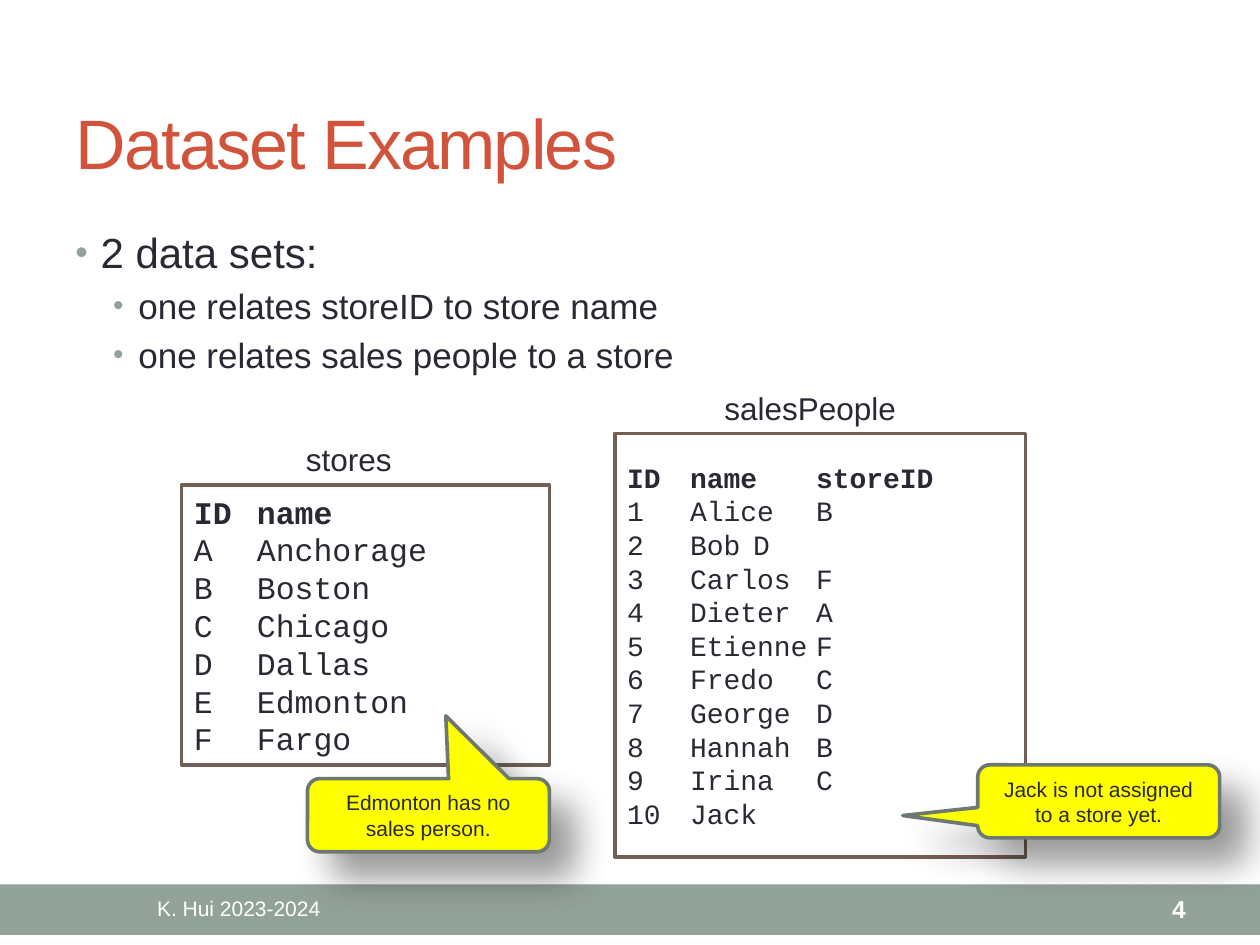
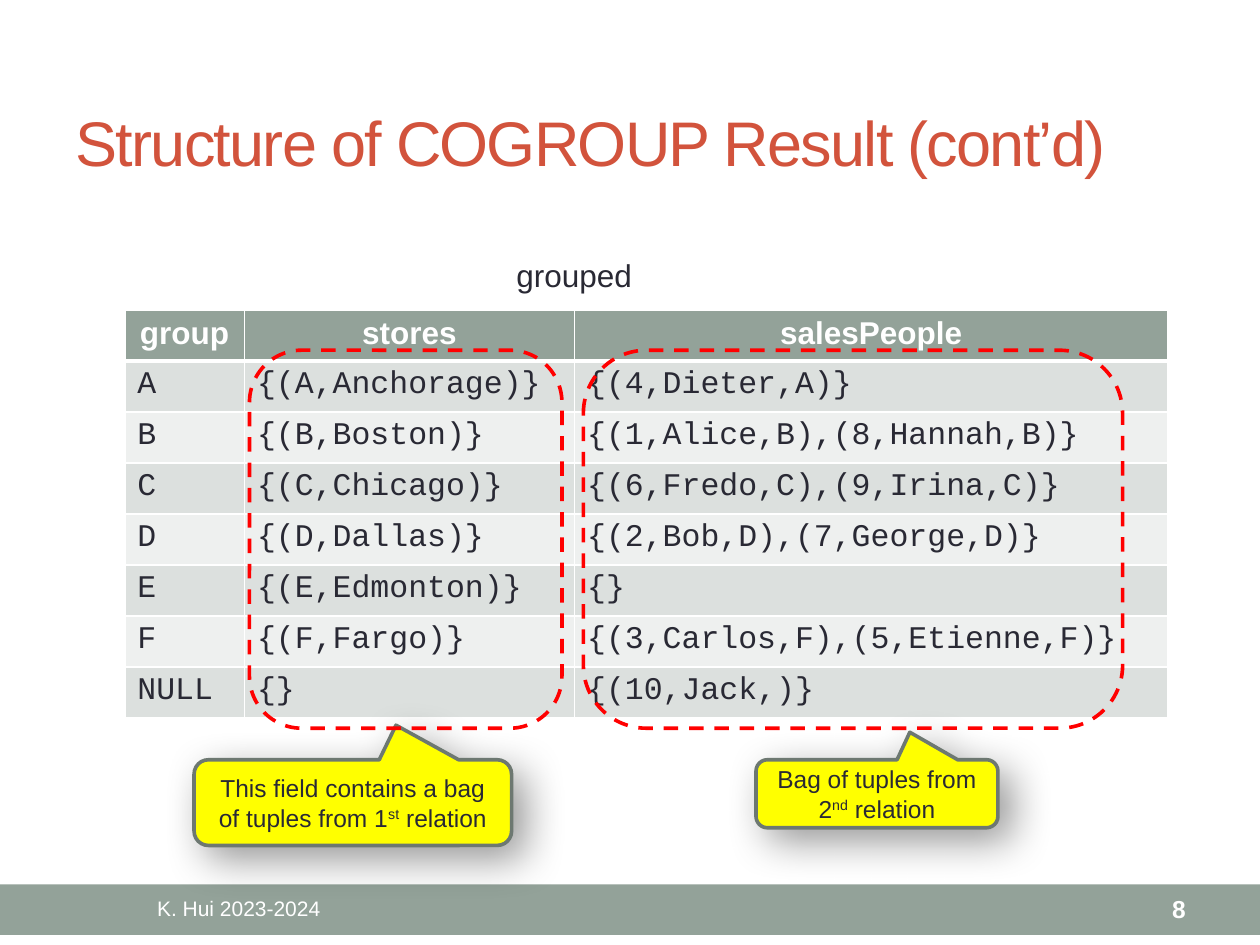
from lxml import etree
from pptx import Presentation
from pptx.dml.color import RGBColor
from pptx.enum.dml import MSO_LINE
from pptx.enum.shapes import MSO_SHAPE
from pptx.enum.text import MSO_ANCHOR, PP_ALIGN
from pptx.oxml.ns import qn
from pptx.util import Inches, Pt

RECTANGLE = MSO_SHAPE.RECTANGLE
ROUNDED = MSO_SHAPE.ROUNDED_RECTANGLE
CALLOUT = MSO_SHAPE.ROUNDED_RECTANGULAR_CALLOUT
MIDDLE, TOP = MSO_ANCHOR.MIDDLE, MSO_ANCHOR.TOP
LEFT, CENTER, RIGHT = PP_ALIGN.LEFT, PP_ALIGN.CENTER, PP_ALIGN.RIGHT
DASH = MSO_LINE.DASH

COLORS = {
    "band": "93A299", "title": "D2533C", "text": "292934", "white": "FFFFFF",
    "frame": "726056", "callout": "FFFF00", "callout line": "6D7871",
    "highlight": "FF0000", "odd row": "DCE0DE", "even row": "EEF0EF", "shadow": "000000",
}
SANS, MONO = "Arial", "Courier New"
LINE_WIDTH = 2.08
FOOTER = "K. Hui 2023-2024"

# Slide content: boxes are (left, top, width, height) in inches
BULLETS = [
    (0, "2 data sets:"),
    (1, "one relates storeID to store name"),
    (1, "one relates sales people to a store"),
]
BULLET_LEVELS = [{"size": 24, "margin": 0.2}, {"size": 20, "margin": 0.5}]
STORES = [
    ("ID", "name"), ("A", "Anchorage"), ("B", "Boston"), ("C", "Chicago"),
    ("D", "Dallas"), ("E", "Edmonton"), ("F", "Fargo"),
]
SALES_PEOPLE = [
    ("ID", "name", "storeID"), ("1", "Alice", "B"), ("2", "Bob", "D"),
    ("3", "Carlos", "F"), ("4", "Dieter", "A"), ("5", "Etienne", "F"),
    ("6", "Fredo", "C"), ("7", "George", "D"), ("8", "Hannah", "B"),
    ("9", "Irina", "C"), ("10", "Jack"),
]
DATASETS = [
    {"records": STORES, "box": (1.44, 3.85, 2.92, 2.22), "size": 18,
     "label": "stores", "label box": (2.33, 3.44, 0.89, 0.4)},
    {"records": SALES_PEOPLE, "box": (4.88, 3.44, 3.26, 3.36), "size": 16,
     "label": "salesPeople", "label box": (5.65, 3.04, 1.58, 0.4)},
]
DATASET_CALLOUTS = [
    {"runs": ["Jack is not assigned to a store yet."],
     "box": (7.76, 6.07, 1.92, 0.58), "tip": (-0.81, 0.194)},
    {"runs": ["Edmonton has no sales person."],
     "box": (2.44, 6.18, 1.92, 0.58), "tip": (0.072, -1.36)},
]
GROUPED = [
    ("group", "stores", "salesPeople"),
    ("A", "{(A,Anchorage)}", "{(4,Dieter,A)}"),
    ("B", "{(B,Boston)}", "{(1,Alice,B),(8,Hannah,B)}"),
    ("C", "{(C,Chicago)}", "{(6,Fredo,C),(9,Irina,C)}"),
    ("D", "{(D,Dallas)}", "{(2,Bob,D),(7,George,D)}"),
    ("E", "{(E,Edmonton)}", "{}"),
    ("F", "{(F,Fargo)}", "{(3,Carlos,F),(5,Etienne,F)}"),
    ("NULL", "{}", "{(10,Jack,)}"),
]
GROUPED_BOX = (0.99, 2.46, 8.28, 3.24)
GROUPED_COLUMNS = (0.95, 2.62, 4.71)
# The middle run of each callout is raised
FIELDS = [
    {"outline": (1.98, 2.78, 2.48, 3), "box": (1.54, 6.03, 2.52, 0.68),
     "runs": ["This field contains a bag of tuples from 1", "st", " relation"]},
    {"outline": (4.63, 2.78, 4.28, 3), "box": (6, 6.03, 1.92, 0.54),
     "runs": ["Bag of tuples from 2", "nd", " relation"]},
]
FIELD_TIP = (0.136, -0.904)


def color(name):
    """Return the named colour."""
    return RGBColor.from_string(COLORS[name])


def inches(box):
    """Turn a box of numbers into lengths."""
    return [Inches(value) for value in box]


def add_xml(parent, tag, **attributes):
    """Append a drawing element and return it."""
    return etree.SubElement(parent, qn(tag), attributes)


def add_color(parent, name):
    """Append a solid RGB colour element and return it."""
    return add_xml(parent, "a:srgbClr", val=COLORS[name])


def write(paragraph, runs, size, ink="text", font=SANS, bold=False, align=LEFT):
    """Fill a paragraph with runs, raising every second one."""
    paragraph.alignment = align
    for index, text in enumerate(runs):
        run = paragraph.add_run()
        run.text = text
        values = {"size": Pt(size), "name": font, "bold": bold}
        for attribute, value in values.items():
            setattr(run.font, attribute, value)
        run.font.color.rgb = color(ink)
        if index % 2:
            run._r.get_or_add_rPr().set("baseline", "30000")


def add_text(slide, box, text, size, wrap=True, anchor=TOP, **style):
    """Add a one-paragraph text box."""
    frame = slide.shapes.add_textbox(*inches(box)).text_frame
    frame.word_wrap = wrap
    frame.vertical_anchor = anchor
    write(frame.paragraphs[0], [text], size, **style)


def add_shape(shapes, kind, box, fill=None, line=None):
    """Add a preset shape with plain fill and line."""
    shape = shapes.add_shape(kind, *inches(box))
    shape.shadow.inherit = False
    if fill:
        shape.fill.solid()
        shape.fill.fore_color.rgb = color(fill)
    else:
        shape.fill.background()
    if line:
        shape.line.color.rgb = color(line)
        shape.line.width = Pt(LINE_WIDTH)
    else:
        shape.line.fill.background()
    shape.text_frame.vertical_anchor = MIDDLE
    return shape


def add_callout(shapes, box, tip, runs, size, blur, distance):
    """Add a yellow callout with a soft shadow."""
    shape = add_shape(shapes, CALLOUT, box, "callout", "callout line")
    for index, value in enumerate((*tip, 0.167)):
        shape.adjustments[index] = value
    effects = shape._element.spPr.find(qn("a:effectLst"))
    shadow = add_xml(effects, "a:outerShdw", blurRad=str(Pt(blur)), dist=str(Pt(distance)),
                     dir="2700000", algn="tl", rotWithShape="0")
    add_xml(add_color(shadow, "shadow"), "a:alpha", val="40000")
    shape.text_frame.word_wrap = True
    write(shape.text_frame.paragraphs[0], runs, size, align=CENTER)


def add_slide(presentation, title, title_size, number):
    """Add a slide with its title, footer band and number."""
    slide = presentation.slides.add_slide(presentation.slide_layouts[5])
    holder = slide.shapes.title
    names = ("left", "top", "width", "height")
    for name, value in zip(names, inches((0.5, 0.58, 9, 1.08))):
        setattr(holder, name, value)
    holder.text_frame.vertical_anchor = MIDDLE
    paragraph = holder.text_frame.paragraphs[0]
    write(paragraph, [title], title_size, ink="title")
    paragraph.runs[0]._r.get_or_add_rPr().set("spc", "-100")
    add_shape(slide.shapes, RECTANGLE, (0, 7.02, 10, 0.4), "band")
    add_text(slide, (0.5, 7.03, 2.79, 0.36), FOOTER, 12, anchor=MIDDLE,
             ink="white", align=CENTER)
    add_text(slide, (8.34, 7.03, 1.17, 0.36), str(number), 14, anchor=MIDDLE,
             ink="white", bold=True, align=RIGHT)
    return slide


def add_bullets(slide, box, bullets):
    """Add a two-level bulleted list."""
    frame = slide.shapes.add_textbox(*inches(box)).text_frame
    frame.word_wrap = True
    for index, (level, text) in enumerate(bullets):
        paragraph = frame.add_paragraph() if index else frame.paragraphs[0]
        style = BULLET_LEVELS[level]
        write(paragraph, [text], style["size"])
        paragraph.level = level
        paragraph.space_before = Pt(style["size"] * 0.2)
        properties = paragraph._p.get_or_add_pPr()
        properties.set("marL", str(Inches(style["margin"])))
        properties.set("indent", str(Inches(-0.2)))
        add_color(add_xml(properties, "a:buClr"), "band")
        add_xml(properties, "a:buSzPct", val="85000")
        add_xml(properties, "a:buFont", typeface=SANS)
        add_xml(properties, "a:buChar", char="•")


def add_dataset(slide, dataset):
    """Add a framed listing of tab-separated records and its label."""
    shape = add_shape(slide.shapes, RECTANGLE, dataset["box"], "white", "frame")
    frame = shape.text_frame
    frame.word_wrap = True
    for index, record in enumerate(dataset["records"]):
        paragraph = frame.add_paragraph() if index else frame.paragraphs[0]
        write(paragraph, ["\t".join(record)], dataset["size"], font=MONO, bold=index == 0)
    add_text(slide, dataset["label box"], dataset["label"], 18, wrap=False)


def set_borders(cell, row):
    """Draw white cell borders, heavier between header and body."""
    properties = cell._tc.get_or_add_tcPr()
    widths = {"L": 1, "R": 1, "T": 3 if row == 1 else 1, "B": 3 if row == 0 else 1}
    for side, width in widths.items():
        line = add_xml(properties, f"a:ln{side}", w=str(Pt(width)))
        add_color(add_xml(line, "a:solidFill"), "white")


def add_grouped_table(slide):
    """Add the table of grouped tuples."""
    table = slide.shapes.add_table(len(GROUPED), len(GROUPED_COLUMNS),
                                   *inches(GROUPED_BOX)).table
    for column, width in zip(table.columns, GROUPED_COLUMNS):
        column.width = Inches(width)
    header = {"ink": "white", "bold": True, "align": CENTER}
    for row, values in enumerate(GROUPED):
        table.rows[row].height = Inches(GROUPED_BOX[3] / len(GROUPED))
        fill = "band" if row == 0 else "odd row" if row % 2 else "even row"
        style = {"font": MONO} if row else header
        for column, value in enumerate(values):
            cell = table.cell(row, column)
            set_borders(cell, row)
            cell.fill.solid()
            cell.fill.fore_color.rgb = color(fill)
            write(cell.text_frame.paragraphs[0], [value], 18, **style)


def build_datasets(presentation):
    """Build the slide with both data sets."""
    slide = add_slide(presentation, "Dataset Examples", 40, 4)
    add_bullets(slide, (0.5, 1.75, 9, 1.55), BULLETS)
    for dataset in DATASETS:
        add_dataset(slide, dataset)
    for callout in DATASET_CALLOUTS:
        add_callout(slide.shapes, **callout, size=12, blur=21, distance=20)


def build_result(presentation):
    """Build the slide with the grouped result."""
    slide = add_slide(presentation, "Structure of COGROUP Result (cont’d)", 36, 8)
    add_grouped_table(slide)
    add_text(slide, (4, 1.98, 1.13, 0.4), "grouped", 18, wrap=False)
    for field in FIELDS:
        shapes = slide.shapes.add_group_shape().shapes
        add_callout(shapes, field["box"], FIELD_TIP, field["runs"], 14, blur=24, distance=10)
        outline = add_shape(shapes, ROUNDED, field["outline"], line="highlight")
        outline.line.dash_style = DASH


presentation = Presentation()
presentation.slide_width, presentation.slide_height = Inches(10), Inches(7.5)
build_datasets(presentation)
build_result(presentation)
presentation.save("out.pptx")
